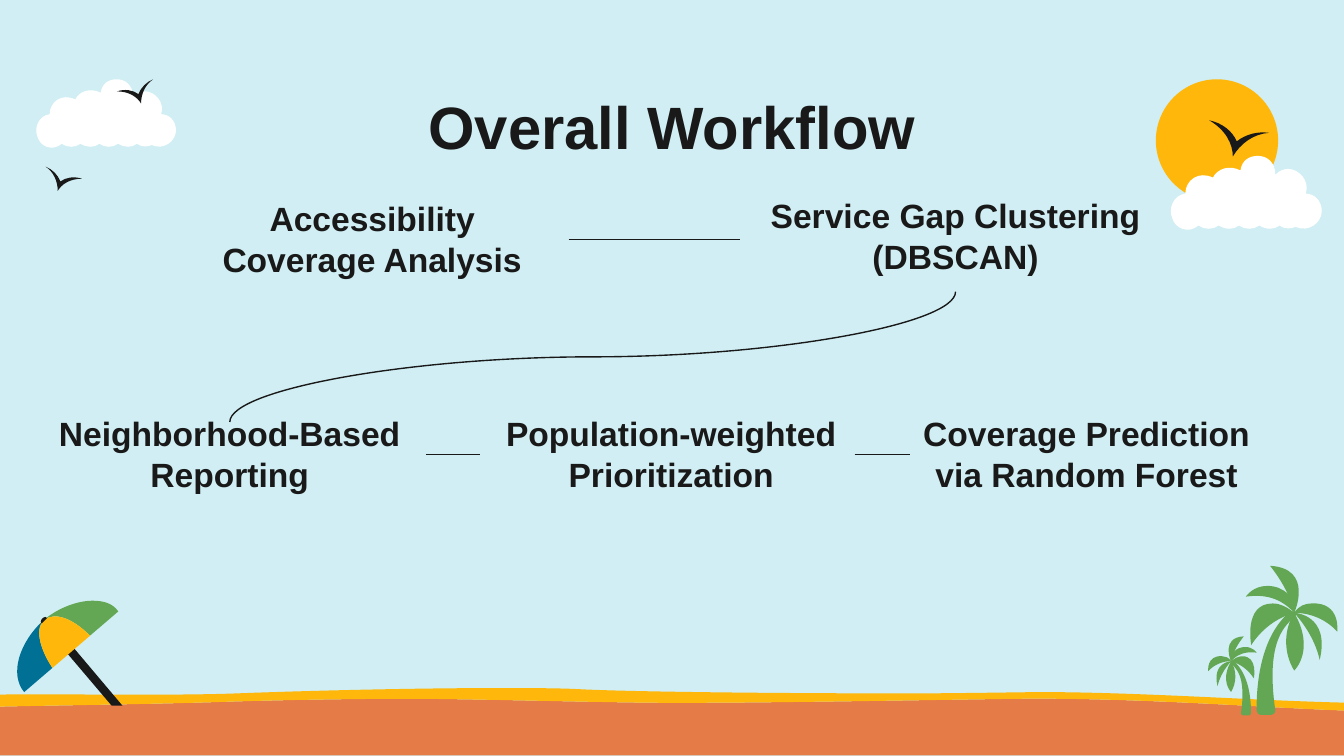
"""Build the beach-themed overall workflow slide."""
import pptx
import pptx.dml.color
import pptx.enum.shapes
import pptx.enum.text
import pptx.oxml
import pptx.util

Pt = pptx.util.Pt
LINK = pptx.enum.shapes.MSO_CONNECTOR
ANCHOR = pptx.enum.text.MSO_ANCHOR
DRAWING = 'xmlns:a="http://schemas.openxmlformats.org/drawingml/2006/main"'

COLOURS = {"sky": "D0EEF3", "ink": "191919", "sand": "E57B47", "yellow": "FFB70B",
           "green": "63A754", "blue": "007095", "white": "FFFFFF"}
GRID = 0.72

SHORE = ("-8 526 / 33 525 120 524 174 522 / 209 521 257 520 304 520 / "
         "354 520 450 523 503 523 / 578 523 684 521 756 520 / 850 519 943 527 1008 529")
SAND = SHORE + " / 1008 562 / -8 562"
DUNE = SHORE + (" / 1008 523 / 944 522 851 515 774 515 / 768 515 707 516 678 516 / "
                "586 516 479 515 434 513 / 417 512 395 512 371 512 / "
                "308 512 228 514 176 516 / 122 518 34 516 -8 517")
BIRD = ("34 124 / 39 126 43 130 45 135 / 49 132 55 131 61 133 / "
        "52 133 46 137 43 142 / 43 135 40 128 34 124")
CLOUD = ("87 59 / 81 59 76 62 75 69 / 67 65 59 68 56 74 / "
         "46 69 37 76 37 85 / 29 86 25 95 28 102 / 30 109 39 113 46 107 / "
         "50 110 56 110 60 107 / 65 110 70 110 74 107 / 78 110 84 110 88 107 / "
         "93 110 98 110 102 107 / 106 110 110 109 113 108 / "
         "122 112 131 105 131 97 / 131 90 126 85 120 85 / "
         "123 76 115 68 108 68 / 105 68 102 69 99 72 / 99 63 93 59 87 59")
PALM = [
    "962 455 / 965 455 965 458 963 459 / 958 465 941 474 949 529 / "
    "949 530 948 532 946 532 / 938 532 / 937 532 935 531 935 529 / 935 518 935 476 960 455",
    "963 456 / 979 484 963 499 963 499 / 955 486 955 469 963 456",
    "947 449 / 953 449 958 452 963 456 / 949 460 938 469 931 480 / 931 480 925 449 947 449",
    "943 436 / 955 436 965 445 963 456 / 953 445 941 442 927 444 / 927 444 932 436 943 436",
    "945 421 / 978 423 963 456 963 456 / 960 443 953 431 945 421",
    "976 449 / 998 448 995 470 995 470 / 987 461 975 456 963 456 / 966 451 971 449 976 449",
    "963 456 / 963 456 990 457 982 491 / 979 478 972 466 963 456",
]
UMBRELLA = [
    ("ink", "37 461 / 32 465 / 83 525 / 91 525"),
    ("green", "69 447 / 58 447 44 452 33 461 / 42 455 55 461 67 473 / "
              "88 455 / 84 449 77 447 69 447"),
    ("blue", "33 461 / 14 478 7 502 18 515 / 39 497 / 29 482 26 467 33 461"),
    ("yellow", "33 461 / 26 467 29 482 39 497 / 67 473 / 55 461 42 455 33 461"),
    ("ink", "34 459 / 32 459 29 462 31 464 / 35 460 / 35 459 34 459 34 459"),
]
STAGES = [
    ("Accessibility Coverage Analysis", 94.3, 110.9, 210.2),
    ("Service Gap Clustering (DBSCAN)", 381.6, 109.4, 260.6),
    ("Neighborhood-Based Reporting", 18, 226.1, 210.2),
    ("Population-weighted Prioritization", 257, 226.1, 205.2),
    ("Coverage Prediction via Random Forest", 479.5, 226.1, 205.2),
]
LINKS = [(304.6, 396.7, 128.2), (228.2, 257, 243.4), (457.9, 487.4, 243.4)]


def colour(name):
    """Return the named colour."""
    return pptx.dml.color.RGBColor.from_string(COLOURS[name])


def paint(shape, fill):
    """Give a shape a plain fill without line or shadow."""
    shape.shadow.inherit = False
    shape.fill.solid()
    shape.fill.fore_color.rgb = colour(fill)
    shape.line.fill.background()


def bend_segments(shape, segments):
    """Join the three points of each curved segment into one Bezier curve."""
    lines = iter(shape._element.xpath(".//a:lnTo"))
    for segment in segments:
        parts = [next(lines) for _ in segment]
        if len(parts) == 3:
            curve = pptx.oxml.parse_xml(f"<a:cubicBezTo {DRAWING}/>")
            parts[0].addprevious(curve)
            for part in parts:
                curve.append(part[0])
                part.getparent().remove(part)


def draw_outline(page, outline, fill, origin=(0, 0), target=(0, 0), scale=1, flip=False):
    """Draw lines and curves with the origin moved to target, scaled and perhaps mirrored."""
    scales = (-scale if flip else scale, scale)
    segments = []
    for segment in outline.split("/"):
        numbers = [float(number) for number in segment.split()]
        segments.append([
            tuple(Pt(GRID * (target[axis] + scales[axis] * (point[axis] - origin[axis])))
                  for axis in (0, 1))
            for point in zip(numbers[::2], numbers[1::2])])
    start, *segments = segments
    builder = page.shapes.build_freeform(*start[0])
    builder.add_line_segments([point for segment in segments for point in segment], close=True)
    shape = builder.convert_to_shape()
    bend_segments(shape, segments)
    paint(shape, fill)
    return shape


def draw_palm(page, crown, scale=1, flip=False):
    """Draw a palm tree with its crown at the given place."""
    for part in PALM:
        draw_outline(page, part, "green", (963, 456), crown, scale, flip)


def draw_bird(page, tip, scale=1, flip=False):
    """Draw a bird from the tip of its raised wing."""
    return draw_outline(page, BIRD, "ink", (34, 124), tip, scale, flip)


def draw_cloud(page, corner, scale=1):
    """Draw a cloud from its top left corner."""
    draw_outline(page, CLOUD, "white", (25, 59), corner, scale)


def add_label(page, text, left, top, width, height, size, anchor, spacing=None):
    """Add a centred bold text box."""
    box = page.shapes.add_textbox(Pt(left), Pt(top), Pt(width), Pt(height))
    frame = box.text_frame
    frame.word_wrap = True
    frame.vertical_anchor = anchor
    frame.margin_left = frame.margin_right = frame.margin_top = frame.margin_bottom = Pt(7.2)
    para = frame.paragraphs[0]
    para.alignment = pptx.enum.text.PP_ALIGN.CENTER
    para.line_spacing = spacing
    span = para.add_run()
    span.text = text
    span.font.name = "Arial"
    span.font.size = Pt(size)
    span.font.bold = True
    span.font.color.rgb = colour("ink")


def add_link(page, kind, left, top, right, bottom):
    """Add a thin connector without shadow."""
    link = page.shapes.add_connector(kind, Pt(left), Pt(top), Pt(right), Pt(bottom))
    link.line.color.rgb = colour("ink")
    link.line.width = Pt(0.75)
    properties = link._element.spPr
    properties.append(pptx.oxml.parse_xml(f"<a:effectLst {DRAWING}/>"))
    return properties


def draw_beach(page):
    """Draw the shore, palms, umbrella and left bird."""
    draw_outline(page, SAND, "sand")
    draw_outline(page, DUNE, "yellow")
    draw_bird(page, (34, 124))
    draw_palm(page, (916, 492), 0.53, flip=True)
    draw_palm(page, (963, 456))
    for fill, outline in UMBRELLA:
        draw_outline(page, outline, fill)


def draw_sky(page):
    """Draw the sun, clouds and their birds."""
    sun = page.shapes.add_shape(pptx.enum.shapes.MSO_SHAPE.OVAL,
                                Pt(619.2), Pt(42.5), Pt(65.5), Pt(65.5))
    paint(sun, "yellow")
    draw_cloud(page, (869, 116), 1.08)
    draw_bird(page, (940, 86), 1.6, flip=True).rotation = 30.3
    draw_cloud(page, (25, 59))
    draw_bird(page, (114, 59), flip=True)


def main():
    """Build and save the deck."""
    deck = pptx.Presentation()
    deck.slide_width, deck.slide_height = Pt(720), Pt(405)
    page = deck.slides.add_slide(deck.slide_layouts[6])
    page.background.fill.solid()
    page.background.fill.fore_color.rgb = colour("sky")
    draw_beach(page)
    add_label(page, "Overall Workflow", 56.2, 35.3, 607.7, 45.4, 32, ANCHOR.TOP, 1.15)
    for text, left, top, width in STAGES:
        add_label(page, text, left, top, width, 33.8, 18, ANCHOR.MIDDLE)
    for left, right, height in LINKS:
        add_link(page, LINK.STRAIGHT, left, height, right, height)
    bend = add_link(page, LINK.CURVE, 282.6, -3.2, 352.4, 385.6)
    bend.xfrm.set("rot", "5400000")
    draw_sky(page)
    deck.save("out.pptx")


if __name__ == "__main__":
    main()
